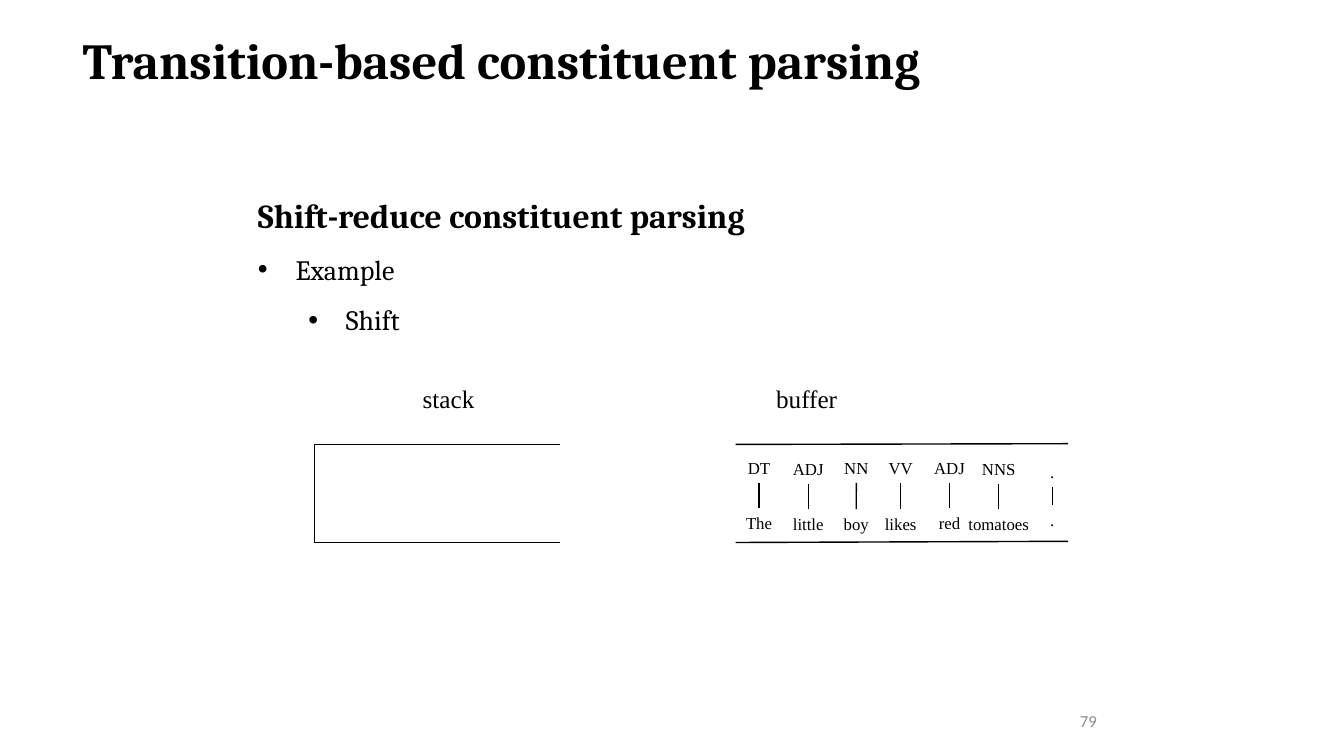
from dataclasses import dataclass

from lxml import etree
from pptx import Presentation
from pptx.dml.color import RGBColor
from pptx.enum.shapes import MSO_CONNECTOR
from pptx.enum.text import MSO_ANCHOR, MSO_AUTO_SIZE, PP_ALIGN
from pptx.oxml.ns import qn
from pptx.util import Cm, Pt

STRAIGHT = MSO_CONNECTOR.STRAIGHT
TOP, MIDDLE = MSO_ANCHOR.TOP, MSO_ANCHOR.MIDDLE
LEFT, CENTER, RIGHT = PP_ALIGN.LEFT, PP_ALIGN.CENTER, PP_ALIGN.RIGHT
NO_AUTOFIT = MSO_AUTO_SIZE.NONE
HEADING_FONT, DIAGRAM_FONT, NUMBER_FONT = "Cambria", "Times New Roman", "Calibri"
BLACK, GREY = "000000", "8C8C8C"
BOTTOM_SIDE, TOP_SIDE = 2, 0
TOKEN_HEIGHT = 0.77


@dataclass
class Token:
    tag: str
    word: str
    center: float
    tag_width: float
    word_width: float
    tag_top: float
    word_top: float


@dataclass
class Rule:
    x1: float
    y1: float
    x2: float
    y2: float


@dataclass
class Bullet:
    text: str
    size: float
    bold: bool
    level: int
    indent: float


TOKENS = [
    Token("DT", "The", 19.13, 1.09, 1.17, 11.4, 12.8),
    Token("ADJ", "little", 20.37, 1.3, 1.3, 11.43, 12.83),
    Token("NN", "boy", 21.58, 1.12, 1.14, 11.4, 12.83),
    Token("VV", "likes", 22.7, 1.12, 1.32, 11.4, 12.83),
    Token("ADJ", "red", 23.93, 1.3, 1.07, 11.4, 12.8),
    Token("NNS", "tomatoes", 25.17, 1.37, 2.06, 11.43, 12.83),
    Token(".", ".", 26.52, 0.61, 0.61, 11.51, 12.73),
]
RULES = [
    Rule(7.92, 11.2, 14.12, 11.2),
    Rule(7.92, 13.67, 14.12, 13.67),
    Rule(7.92, 11.2, 7.92, 13.67),
    Rule(18.54, 13.67, 26.92, 13.64),
    Rule(18.54, 11.2, 26.92, 11.18),
]
BULLETS = [
    Bullet("Shift-reduce constituent parsing", 24, True, 0, 0),
    Bullet("Example", 20, False, 0, 0.95),
    Bullet("Shift", 20, False, 1, 2.22),
]


def color(value: str) -> RGBColor:
    return RGBColor.from_string(value)


def add_span(para, text: str, size: float, font: str, ink: str = BLACK, bold: bool = False) -> None:
    span = para.add_run()
    span.text = text
    span.font.size = Pt(size)
    span.font.name = font
    span.font.bold = bold
    span.font.color.rgb = color(ink)


def add_label(page, text: str, left: float, top: float, width: float, height: float,
              size: float, font: str = DIAGRAM_FONT, ink: str = BLACK, align=CENTER,
              anchor=TOP, wrap: bool = False):
    box = page.shapes.add_textbox(Cm(left), Cm(top), Cm(width), Cm(height))
    box.text_frame.word_wrap = wrap
    box.text_frame.vertical_anchor = anchor
    para = box.text_frame.paragraphs[0]
    para.alignment = align
    add_span(para, text, size, font, ink)
    return box


def add_rule(page, rule: Rule):
    line = page.shapes.add_connector(STRAIGHT, Cm(rule.x1), Cm(rule.y1), Cm(rule.x2), Cm(rule.y2))
    line.line.color.rgb = color(BLACK)
    line.line.width = Pt(1)
    etree.SubElement(line._element.spPr, qn("a:effectLst"))
    return line


def add_token(page, token: Token) -> None:
    tag_box = add_label(page, token.tag, token.center - token.tag_width / 2, token.tag_top,
                        token.tag_width, TOKEN_HEIGHT, 12)
    word_box = add_label(page, token.word, token.center - token.word_width / 2, token.word_top,
                         token.word_width, TOKEN_HEIGHT, 12)
    branch = add_rule(page, Rule(token.center, token.tag_top + TOKEN_HEIGHT,
                                 token.center, token.word_top))
    branch.begin_connect(tag_box, BOTTOM_SIDE)
    branch.end_connect(word_box, TOP_SIDE)


def add_title(page, text: str) -> None:
    title = page.shapes.title
    title.left, title.top, title.width, title.height = Cm(1.83), Cm(0.61), Cm(22.4), Cm(1.8)
    frame = title.text_frame
    frame.auto_size = NO_AUTOFIT
    frame.vertical_anchor = TOP
    frame.paragraphs[0].alignment = LEFT
    add_span(frame.paragraphs[0], text, 36, HEADING_FONT, bold=True)


def add_outline(page) -> None:
    box = page.shapes.add_textbox(Cm(6.25), Cm(4.29), Cm(19.58), Cm(4.24))
    frame = box.text_frame
    frame.word_wrap = True
    for index, bullet in enumerate(BULLETS):
        para = frame.add_paragraph() if index else frame.paragraphs[0]
        para.level = bullet.level
        para.line_spacing = 1.5
        if bullet.indent:
            props = para._p.get_or_add_pPr()
            props.set("marL", str(Cm(bullet.indent)))
            props.set("indent", str(Cm(-0.95)))
            etree.SubElement(props, qn("a:buFont")).set("typeface", "Arial")
            etree.SubElement(props, qn("a:buChar")).set("char", "•")
        add_span(para, bullet.text, bullet.size, HEADING_FONT, bold=bullet.bold)


def main() -> None:
    deck = Presentation()
    deck.slide_width, deck.slide_height = Cm(33.87), Cm(19.05)
    page = deck.slides.add_slide(deck.slide_layouts[5])

    # Headings and page number
    add_title(page, "Transition-based constituent parsing")
    add_outline(page)
    add_label(page, "79", 22.17, 17.65, 5.72, 1.02, 12, NUMBER_FONT, GREY, RIGHT, MIDDLE, True)

    # Stack and buffer frames
    add_label(page, "stack", 10.39, 9.53, 1.83, 1.02, 18)
    add_label(page, "buffer", 19.3, 9.53, 2.06, 1.02, 18)
    for rule in RULES:
        add_rule(page, rule)

    # Tagged words waiting in the buffer
    for token in TOKENS:
        add_token(page, token)

    deck.save("out.pptx")


if __name__ == "__main__":
    main()
